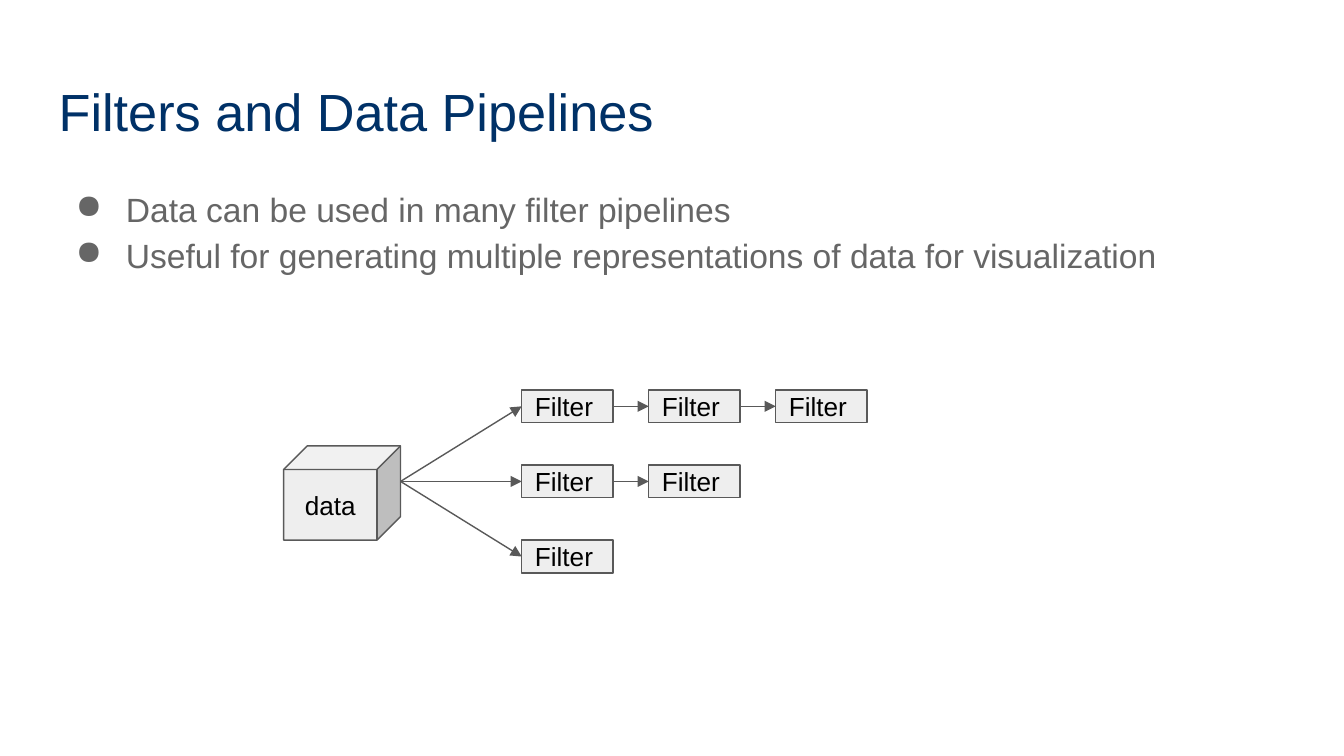
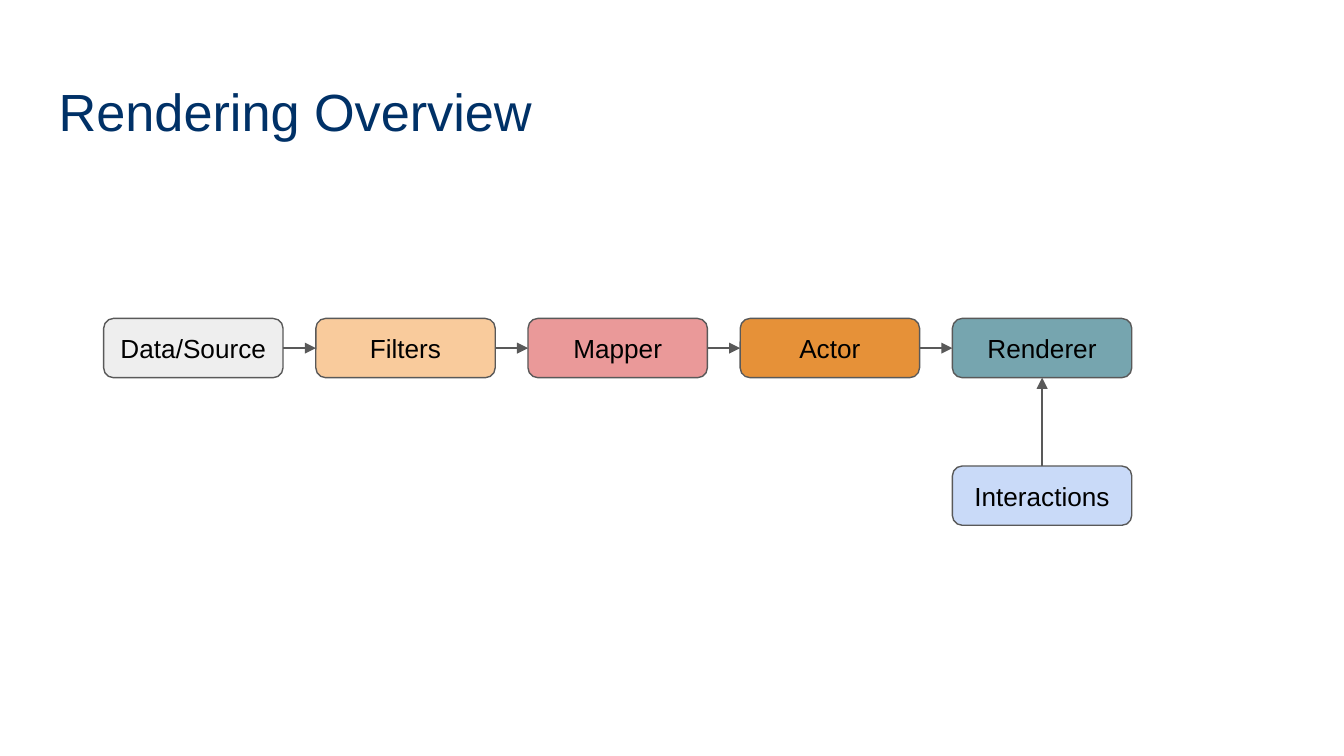
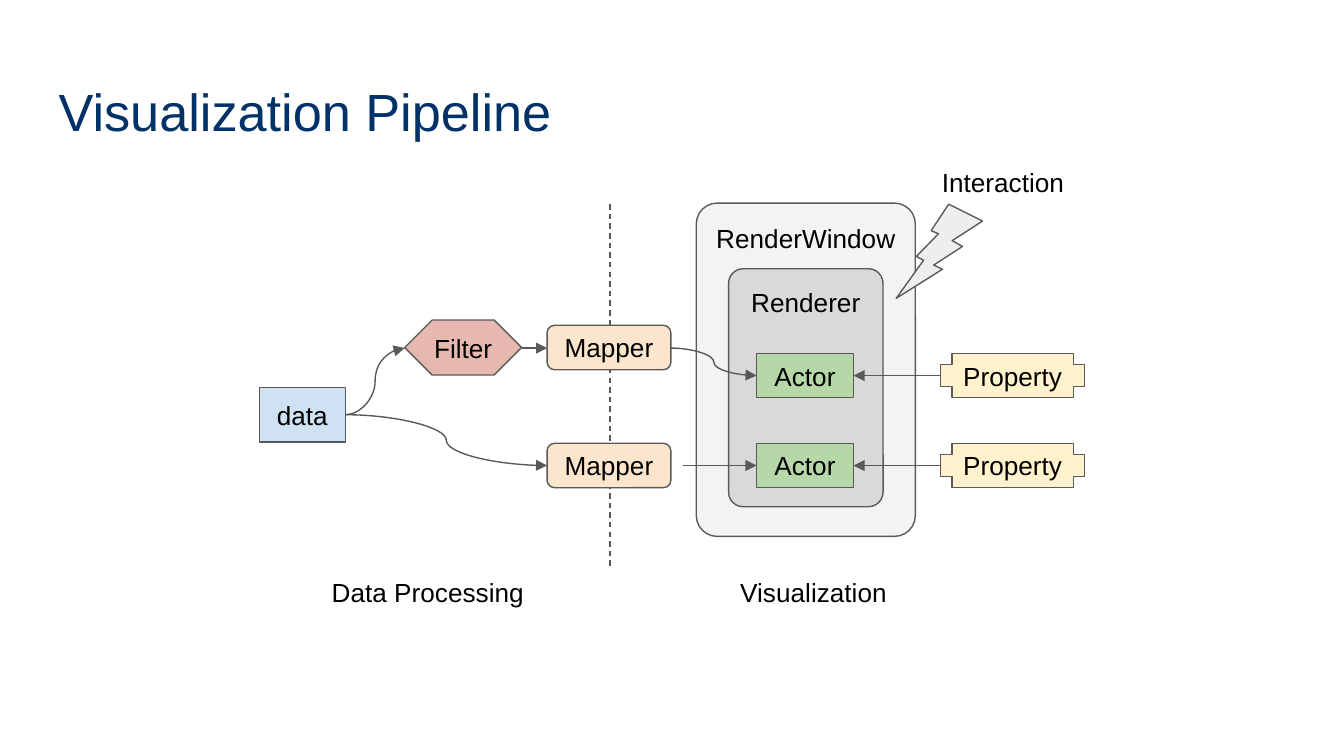
from lxml import etree
from pptx import Presentation
from pptx.dml.color import RGBColor
from pptx.enum.dml import MSO_LINE
from pptx.enum.shapes import MSO_CONNECTOR, MSO_SHAPE
from pptx.enum.text import MSO_ANCHOR, PP_ALIGN
from pptx.oxml.ns import qn
from pptx.util import Cm, Pt

STRAIGHT, CURVE = MSO_CONNECTOR.STRAIGHT, MSO_CONNECTOR.CURVE
RECT, ROUNDED = MSO_SHAPE.RECTANGLE, MSO_SHAPE.ROUNDED_RECTANGLE
CUBE, CROSS, BOLT = MSO_SHAPE.CUBE, MSO_SHAPE.CROSS, MSO_SHAPE.LIGHTNING_BOLT
HEXAGON = MSO_SHAPE.SNIP_2_SAME_RECTANGLE
LEFT, CENTER = PP_ALIGN.LEFT, PP_ALIGN.CENTER
TOP, MIDDLE = MSO_ANCHOR.TOP, MSO_ANCHOR.MIDDLE
DASH = MSO_LINE.DASH

FONT = "Arial"
COLORS = {
    "title": "003167", "body": "666666", "text": "000000", "line": "595959",
    "gray": "EEEEEE", "window": "F3F3F3", "renderer": "D9D9D9",
    "orange": "F9CB9C", "pink": "EA9999", "amber": "E69138",
    "teal": "76A5AF", "periwinkle": "C9DAF8", "blue": "CFE2F3",
    "rose": "E6B8AF", "peach": "FCE5CD", "green": "B6D7A8", "yellow": "FFF2CC",
}


def add_box(page, kind, at, text, fill=None, align=CENTER, anchor=MIDDLE,
            size=14, color="text", corners=()):
    """Add a filled shape, or a plain text box when kind is None."""
    place = [Cm(length) for length in at]
    if kind is None:
        box = page.shapes.add_textbox(*place)
    else:
        box = page.shapes.add_shape(kind, *place)
        box.shadow.inherit = False
        box.fill.solid()
        box.fill.fore_color.rgb = RGBColor.from_string(COLORS[fill])
        box.line.color.rgb = RGBColor.from_string(COLORS["line"])
        box.line.width = Pt(0.75)
        for number, corner in enumerate(corners):
            box.adjustments[number] = corner
    frame = box.text_frame
    frame.word_wrap = align == LEFT
    frame.vertical_anchor = anchor
    frame.margin_left = frame.margin_right = Cm(0.25)
    frame.margin_top = frame.margin_bottom = Cm(0.25)
    for number, words in enumerate(text.splitlines()):
        para = frame.add_paragraph() if number else frame.paragraphs[0]
        para.alignment = align
        span = para.add_run()
        span.text = words
        span.font.name = FONT
        span.font.size = Pt(size)
        span.font.color.rgb = RGBColor.from_string(COLORS[color])
    return box


def add_line(page, start, end, kind=STRAIGHT, dash=None):
    """Add an arrow, or a dashed line without a head."""
    line = page.shapes.add_connector(kind, *[Cm(v) for v in (*start, *end)])
    line.line.color.rgb = RGBColor.from_string(COLORS["line"])
    line.line.width = Pt(0.75)
    properties = line._element.spPr
    if dash:
        line.line.dash_style = dash
    else:
        outline = properties.find(qn("a:ln"))
        etree.SubElement(outline, qn("a:tailEnd"), type="triangle")
    etree.SubElement(properties, qn("a:effectLst"))


deck = Presentation()
deck.slide_width, deck.slide_height = Cm(25.4), Cm(14.29)

# Pages with their titles
pages = []
for title in ("Filters and Data Pipelines", "Rendering Overview",
              "Visualization Pipeline"):
    page = deck.slides.add_slide(deck.slide_layouts[6])
    add_box(page, None, (0.86, 1.24, 23.67, 1.6), title, align=LEFT,
            anchor=TOP, size=28, color="title")
    pages.append(page)
filters_page, overview_page, pipeline_page = pages

# Filters: bullets
body = add_box(
    filters_page, None, (0.86, 3.2, 23.67, 9.5),
    "Data can be used in many filter pipelines\n"
    "Useful for generating multiple representations of data for visualization",
    align=LEFT, anchor=TOP, size=18, color="body")
for para in body.text_frame.paragraphs:
    para.line_spacing = 1.15
    settings = para._p.get_or_add_pPr()
    settings.set("marL", str(Cm(1.27)))
    settings.set("indent", str(Cm(-0.95)))
    bullet_color = etree.SubElement(settings, qn("a:buClr"))
    etree.SubElement(bullet_color, qn("a:srgbClr"), val=COLORS["body"])
    etree.SubElement(settings, qn("a:buChar"), char="●")

# Filters: one data cube feeding chains of three, two and one filters
add_box(filters_page, CUBE, (5.36, 8.43, 2.21, 1.78), "data", "gray")
filter_width, filter_height = 1.73, 0.62
for row, chain_length in enumerate((3, 2, 1)):
    top = 7.37 + 1.42 * row
    middle = top + filter_height / 2
    source = (7.57, 9.1)
    for column in range(chain_length):
        left = 9.86 + 2.4 * column
        add_box(filters_page, RECT, (left, top, filter_width, filter_height),
                "Filter", "gray", align=LEFT)
        add_line(filters_page, source, (left, middle))
        source = (left + filter_width, middle)

# Overview: a chain of stages, with interactions below the last
stage_width, stage_height, stage_top, stage_step = 3.39, 1.12, 6.02, 4.01
stages = (("Data/Source", "gray"), ("Filters", "orange"), ("Mapper", "pink"),
          ("Actor", "amber"), ("Renderer", "teal"))
stage_middle = stage_top + stage_height / 2
for number, (name, fill) in enumerate(stages):
    left = 1.96 + stage_step * number
    add_box(overview_page, ROUNDED, (left, stage_top, stage_width, stage_height),
            name, fill)
    if number:
        add_line(overview_page, (left - stage_step + stage_width, stage_middle),
                 (left, stage_middle))
interactions_top = 8.81
add_box(overview_page, ROUNDED,
        (left, interactions_top, stage_width, stage_height),
        "Interactions", "periwinkle")
center = left + stage_width / 2
add_line(overview_page, (center, interactions_top),
         (center, stage_top + stage_height))

# Pipeline: divider, source data and nested windows
add_line(pipeline_page, (11.53, 3.86), (11.53, 10.77), dash=DASH)
add_box(pipeline_page, RECT, (4.9, 7.32, 1.63, 1.04), "data", "blue")
add_box(pipeline_page, HEXAGON, (7.65, 6.05, 2.21, 1.04), "Filter", "rose",
        corners=(0.5, 0.5))
for name, fill, at in (("RenderWindow", "window", (13.16, 3.84, 4.14, 6.3)),
                       ("Renderer", "renderer", (13.77, 5.08, 2.92, 4.5))):
    add_box(pipeline_page, ROUNDED, at, name, fill, anchor=TOP,
            corners=(0.095,))

# Pipeline: two rows of mapper, actor and property
for mapper_top, actor_top in ((6.15, 6.68), (8.38, 8.38)):
    add_box(pipeline_page, ROUNDED, (10.34, mapper_top, 2.34, 0.84), "Mapper",
            "peach")
    add_box(pipeline_page, RECT, (14.3, actor_top, 1.83, 0.84), "Actor", "green")
    add_box(pipeline_page, CROSS, (17.78, actor_top, 2.72, 0.84), "Property",
            "yellow")
    actor_middle = actor_top + 0.42
    add_line(pipeline_page, (17.78, actor_middle), (16.13, actor_middle))

# Pipeline: flow from data to actors
for start, end, kind in (
        ((6.53, 7.84), (7.65, 6.58), CURVE),
        ((6.53, 7.84), (10.34, 8.8), CURVE),
        ((9.86, 6.58), (10.34, 6.58), STRAIGHT),
        ((12.68, 6.58), (14.3, 7.1), CURVE),
        ((12.9, 8.8), (14.3, 8.8), CURVE)):
    add_line(pipeline_page, start, end, kind)

# Pipeline: interaction bolt and labels
bolt = add_box(pipeline_page, BOLT, (16.94, 3.86, 1.63, 1.78), "", "gray")
bolt._element.spPr.xfrm.set("flipH", "1")
for name, at in (("Data Processing", (6.02, 10.64, 4.34, 0.84)),
                 ("Visualization", (13.74, 10.64, 4.34, 0.84)),
                 ("Interaction", (17.55, 2.9, 4.9, 1.27))):
    add_box(pipeline_page, None, at, name, align=LEFT, anchor=TOP)

deck.save("out.pptx")
